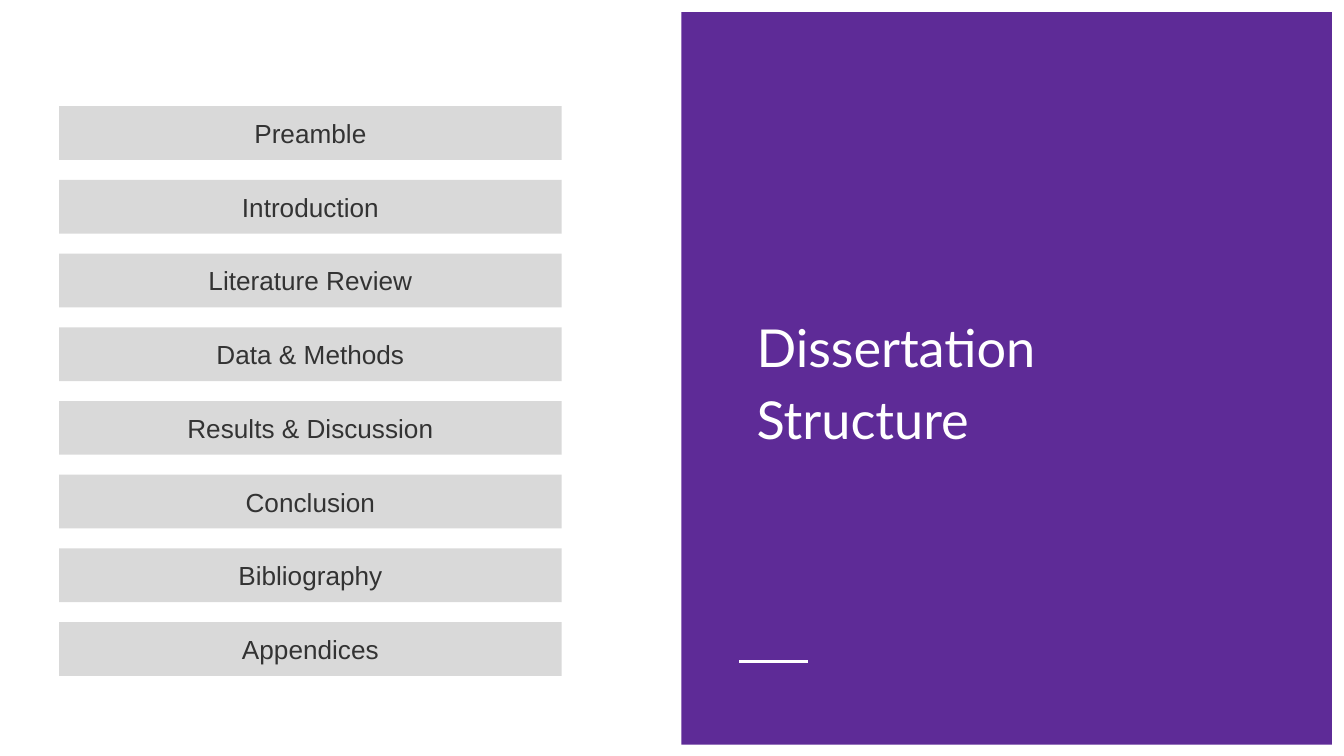
from dataclasses import dataclass

import lxml.etree
import pptx
import pptx.dml.color
import pptx.enum.shapes
import pptx.enum.text
import pptx.oxml.ns
import pptx.util

Inches = pptx.util.Inches
RGBColor = pptx.dml.color.RGBColor
Align = pptx.enum.text.PP_ALIGN

PURPLE = RGBColor(0x5E, 0x2B, 0x97)
WHITE = RGBColor(0xFF, 0xFF, 0xFF)
GREY = RGBColor(0xD9, 0xD9, 0xD9)
DARK = RGBColor(0x33, 0x33, 0x33)

PARTS = ["Preamble", "Introduction", "Literature Review", "Data & Methods",
         "Results & Discussion", "Conclusion", "Bibliography", "Appendices"]
FIRST_TOP, LAST_TOP = 0.79, 4.63


@dataclass
class Box:
    left: float
    top: float
    width: float
    height: float
    fill: RGBColor


def draw_box(slide, box: Box):
    shape = slide.shapes.add_shape(
        pptx.enum.shapes.MSO_SHAPE.RECTANGLE, Inches(box.left), Inches(box.top),
        Inches(box.width), Inches(box.height))
    shape.shadow.inherit = False
    shape.fill.solid()
    shape.fill.fore_color.rgb = box.fill
    shape.line.fill.background()
    return shape


def write(shape, text: str, *, font: str, size: float, color: RGBColor,
          align=Align.CENTER, spacing: float = 1.0, indent: float = 0) -> None:
    """Fill the shape with one paragraph for each line of text."""
    frame = shape.text_frame
    frame.text = text
    frame.word_wrap = True
    frame.auto_size = pptx.enum.text.MSO_AUTO_SIZE.NONE
    frame.vertical_anchor = pptx.enum.text.MSO_ANCHOR.MIDDLE
    for para in frame.paragraphs:
        para.alignment = align
        para.line_spacing = spacing
        para.space_before = pptx.util.Pt(0)
        if indent:
            props = para._p.get_or_add_pPr()
            props.set("marL", str(Inches(indent)))
            props.set("indent", "0")
        para.font.name = font
        para.font.size = pptx.util.Pt(size)
        para.font.color.rgb = color


def draw_rule(slide, left: float, right: float, top: float) -> None:
    rule = slide.shapes.add_connector(
        pptx.enum.shapes.MSO_CONNECTOR.STRAIGHT,
        Inches(left), Inches(top), Inches(right), Inches(top))
    rule.line.color.rgb = WHITE
    rule.line.width = pptx.util.Pt(1.5)
    lxml.etree.SubElement(rule._element.spPr, pptx.oxml.ns.qn("a:effectLst"))


def place_title(slide, text: str) -> None:
    title = slide.shapes.title
    title.left, title.top = Inches(5.4), Inches(0.79)
    title.width, title.height = Inches(4.2), Inches(4.04)
    frame = title.text_frame
    frame.margin_left = frame.margin_right = Inches(0.1)
    frame.margin_top = frame.margin_bottom = Inches(0.1)
    write(title, text, font="Lato", size=28, color=WHITE,
          align=Align.LEFT, spacing=1.15, indent=0.13)
    # Bring the title in front of the panel
    slide.shapes._spTree.append(title._element)


def main() -> None:
    deck = pptx.Presentation()
    deck.slide_width = Inches(10)
    deck.slide_height = deck.slide_width * 9 // 16
    slide = deck.slides.add_slide(deck.slide_layouts[5])

    draw_box(slide, Box(5.07, 0.09, 4.84, 5.45, PURPLE))
    draw_rule(slide, 5.5, 6.01, 4.92)
    place_title(slide, "Dissertation\nStructure")

    step = (LAST_TOP - FIRST_TOP) / (len(PARTS) - 1)
    for row, part in enumerate(PARTS):
        bar = draw_box(slide, Box(0.44, FIRST_TOP + row * step, 3.74, 0.4, GREY))
        write(bar, part, font="Arial", size=14, color=DARK)

    deck.save("out.pptx")


if __name__ == "__main__":
    main()
